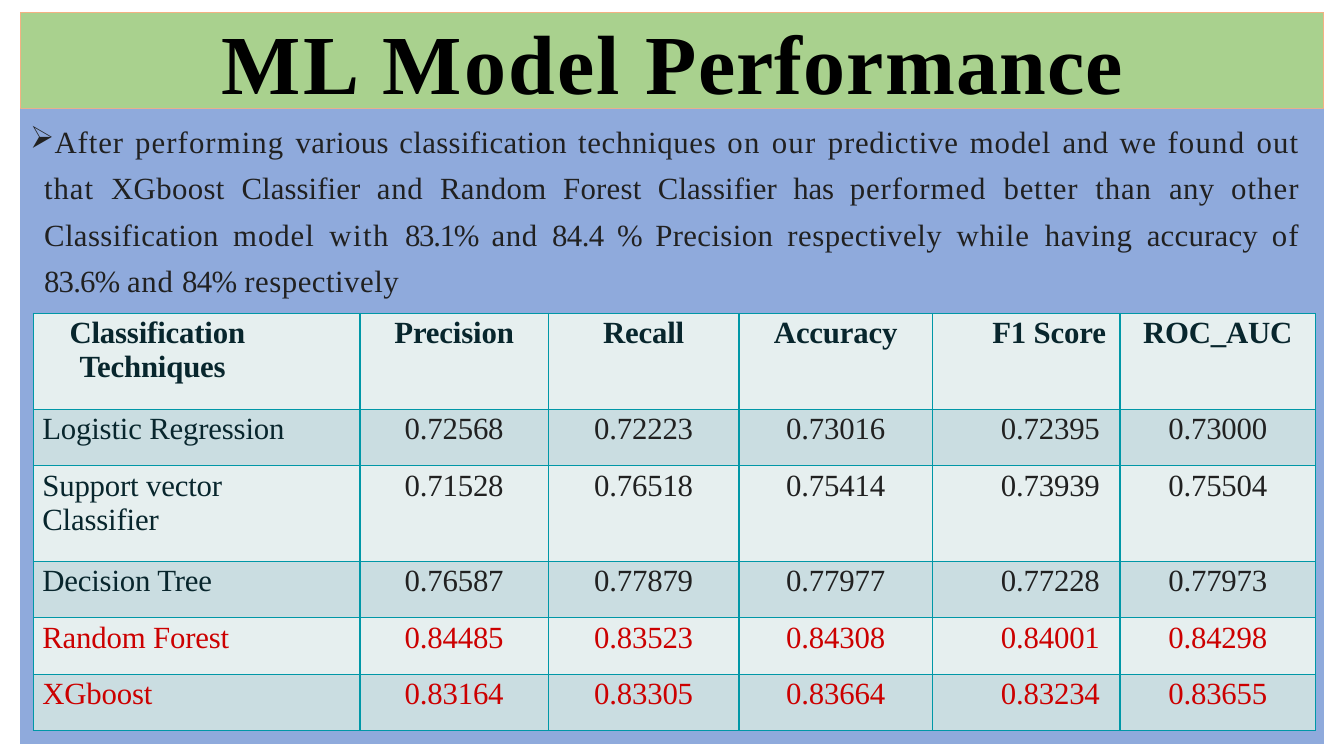
from dataclasses import dataclass

from lxml import etree
from pptx import Presentation
from pptx.dml.color import RGBColor
from pptx.enum.shapes import MSO_SHAPE
from pptx.enum.text import MSO_ANCHOR, MSO_AUTO_SIZE, PP_ALIGN
from pptx.oxml.ns import qn
from pptx.util import Inches, Pt

LEFT, CENTER, RIGHT, JUSTIFY = PP_ALIGN.LEFT, PP_ALIGN.CENTER, PP_ALIGN.RIGHT, PP_ALIGN.JUSTIFY
TOP, MIDDLE = MSO_ANCHOR.TOP, MSO_ANCHOR.MIDDLE
RECTANGLE = MSO_SHAPE.RECTANGLE
NO_AUTOFIT = MSO_AUTO_SIZE.NONE
TITLE_ONLY = 5


@dataclass(frozen=True)
class Theme:
    font: str = "Times New Roman"
    title_size: int = 60
    text_size: int = 22
    title_text: str = "000000"
    title_fill: str = "A9D18E"
    title_line: str = "F4B183"
    body_fill: str = "8FAADC"
    text: str = "212121"
    label: str = "08262D"
    best: str = "CC0000"
    border: str = "0097A7"
    bands: tuple = ("E6EFEF", "CADDE1")


TITLE = [("ML ", 2.3), ("Model ", 1.6), ("Performance", 0.8)]

# Each piece of the finding with its letter spacing in points
FINDING = [
    ("After ", 0.7), ("performing ", 0.8), ("various classification ", 0.3),
    ("techniques ", 0.5), ("on our ", 0.9), ("predictive ", 0.6), ("model ", 0.7),
    ("and we ", 0.5), ("found out ", 0.9), ("that ", 0.7), ("XGboost ", 0.3),
    ("Classifier ", 0.1), ("and ", 0.5), ("Random ", 0.3), ("Forest ", 0.2),
    ("Classifier ", 0.1), ("has ", -0.1), ("performed ", 0.7), ("better ", 0.6),
    ("than ", 0.7), ("any ", 0.3), ("other ", 0.8), ("Classification ", 0.3),
    ("model ", 0.7), ("with ", 1.1), ("83.1% ", -0.9), ("and ", 0.5), ("84.4 ", -0.4),
    ("% ", -0.5), ("Precision ", 0.3), ("respectively ", 0.4), ("while ", 0.8),
    ("having ", 0.5), ("accuracy ", 0.2), ("of ", 0.8), ("83.6% ", -0.6),
    ("and ", 0.5), ("84% ", -0.4), ("respectively", 0.4),
]

SCORES = [
    ["Classification\vTechniques", "Precision", "Recall", "Accuracy", "F1 Score", "ROC_AUC"],
    ["Logistic Regression", "0.72568", "0.72223", "0.73016", "0.72395", "0.73000"],
    ["Support vector\vClassifier", "0.71528", "0.76518", "0.75414", "0.73939", "0.75504"],
    ["Decision Tree", "0.76587", "0.77879", "0.77977", "0.77228", "0.77973"],
    ["Random Forest", "0.84485", "0.83523", "0.84308", "0.84001", "0.84298"],
    ["XGboost", "0.83164", "0.83305", "0.83664", "0.83234", "0.83655"],
]
COLUMN_WIDTHS = [3.24, 1.87, 1.89, 1.92, 1.86, 1.94]
ROW_HEIGHTS = [0.95, 0.56, 0.95, 0.56, 0.56, 0.56]
F1_COLUMN = 4
BEST_MODELS = ("Random Forest", "XGboost")


def add_text(p, text, *, font, size, color, bold=False, spacing=0):
    """Append text to a paragraph; a vertical tab in it becomes a line break."""
    for i, line in enumerate(text.split("\v")):
        if i:
            p.add_line_break()
        r = p.add_run()
        r.text = line
        r.font.name = font
        r.font.size = Pt(size)
        r.font.bold = bold
        r.font.color.rgb = RGBColor.from_string(color)
        r._r.get_or_add_rPr().set("spc", str(round(spacing * 100)))


def format_paragraph(p, align, left=0, first=0, right=0, before=0):
    p.alignment = align
    p.space_before = Pt(before)
    pPr = p._p.get_or_add_pPr()
    for name, value in (("marL", left), ("indent", first), ("marR", right)):
        pPr.set(name, str(Inches(value)))


class SlideBuilder:
    def __init__(self, prs, theme):
        self.theme = theme
        self.slide = prs.slides.add_slide(prs.slide_layouts[TITLE_ONLY])

    def panel(self, sp, box, fill, anchor, line=None):
        """Place and colour a shape, and return its first paragraph."""
        sp.left, sp.top, sp.width, sp.height = map(Inches, box)
        sp.fill.solid()
        sp.fill.fore_color.rgb = RGBColor.from_string(fill)
        if line:
            sp.line.color.rgb = RGBColor.from_string(line)
            sp.line.width = Pt(0.75)
        else:
            sp.line.fill.background()
        tf = sp.text_frame
        tf.word_wrap = True
        tf.auto_size = NO_AUTOFIT
        tf.vertical_anchor = anchor
        return tf.paragraphs[0]

    def title(self, pieces, box):
        t = self.theme
        p = self.panel(self.slide.shapes.title, box, t.title_fill, MIDDLE, t.title_line)
        format_paragraph(p, CENTER, left=0.01, before=1)
        for text, spacing in pieces:
            add_text(p, text, font=t.font, size=t.title_size, color=t.title_text,
                     bold=True, spacing=spacing)

    def body(self, pieces, box):
        t = self.theme
        sp = self.slide.shapes.add_shape(RECTANGLE, *map(Inches, box))
        sp.shadow.inherit = False
        p = self.panel(sp, box, t.body_fill, TOP)
        format_paragraph(p, JUSTIFY, left=0.14, first=-0.38, right=0.14, before=1)
        p.line_spacing = 1.25
        etree.SubElement(p._p.get_or_add_pPr(), qn("a:buChar")).set("char", "➢")
        for text, spacing in pieces:
            add_text(p, text, font=t.font, size=t.text_size, color=t.text, spacing=spacing)

    def cell_style(self, cell, fill):
        cell.margin_left = cell.margin_right = cell.margin_bottom = 0
        cell.margin_top = Inches(0.03)
        tcPr = cell._tc.get_or_add_tcPr()
        for side in ("a:lnL", "a:lnR", "a:lnT", "a:lnB"):
            ln = etree.SubElement(tcPr, qn(side), w=str(Pt(1)))
            paint = etree.SubElement(ln, qn("a:solidFill"))
            etree.SubElement(paint, qn("a:srgbClr"), val=self.theme.border)
        cell.fill.solid()
        cell.fill.fore_color.rgb = RGBColor.from_string(fill)

    def score_table(self, rows, left, top):
        t = self.theme
        size = Inches(sum(COLUMN_WIDTHS)), Inches(sum(ROW_HEIGHTS))
        table = self.slide.shapes.add_table(
            len(rows), len(COLUMN_WIDTHS), Inches(left), Inches(top), *size).table
        for column, width in zip(table.columns, COLUMN_WIDTHS):
            column.width = Inches(width)
        for i, values in enumerate(rows):
            table.rows[i].height = Inches(ROW_HEIGHTS[i])
            header = i == 0
            for j, value in enumerate(values):
                cell = table.cell(i, j)
                self.cell_style(cell, t.bands[i % 2])
                p = cell.text_frame.paragraphs[0]
                if j == 0:
                    left, first = (0.46, -0.1) if header else (0.09, 0)
                    format_paragraph(p, LEFT, left=left, first=first, before=2.4)
                elif j == F1_COLUMN:
                    format_paragraph(p, RIGHT, right=0.14 if header else 0.2, before=2.4)
                else:
                    format_paragraph(p, CENTER, before=2.4)
                if values[0] in BEST_MODELS:
                    color = t.best
                else:
                    color = t.label if header or j == 0 else t.text
                add_text(p, value, font=t.font, size=t.text_size, color=color,
                         bold=header, spacing=-0.1)


def main():
    prs = Presentation()
    prs.slide_width, prs.slide_height = Inches(13.33), Inches(7.5)
    s = SlideBuilder(prs, Theme())
    s.title(TITLE, (0.2, 0.12, 12.93, 0.96))
    s.body(FINDING, (0.2, 1.08, 12.93, 6.3))
    s.score_table(SCORES, 0.33, 3.11)
    prs.save("out.pptx")


if __name__ == "__main__":
    main()
